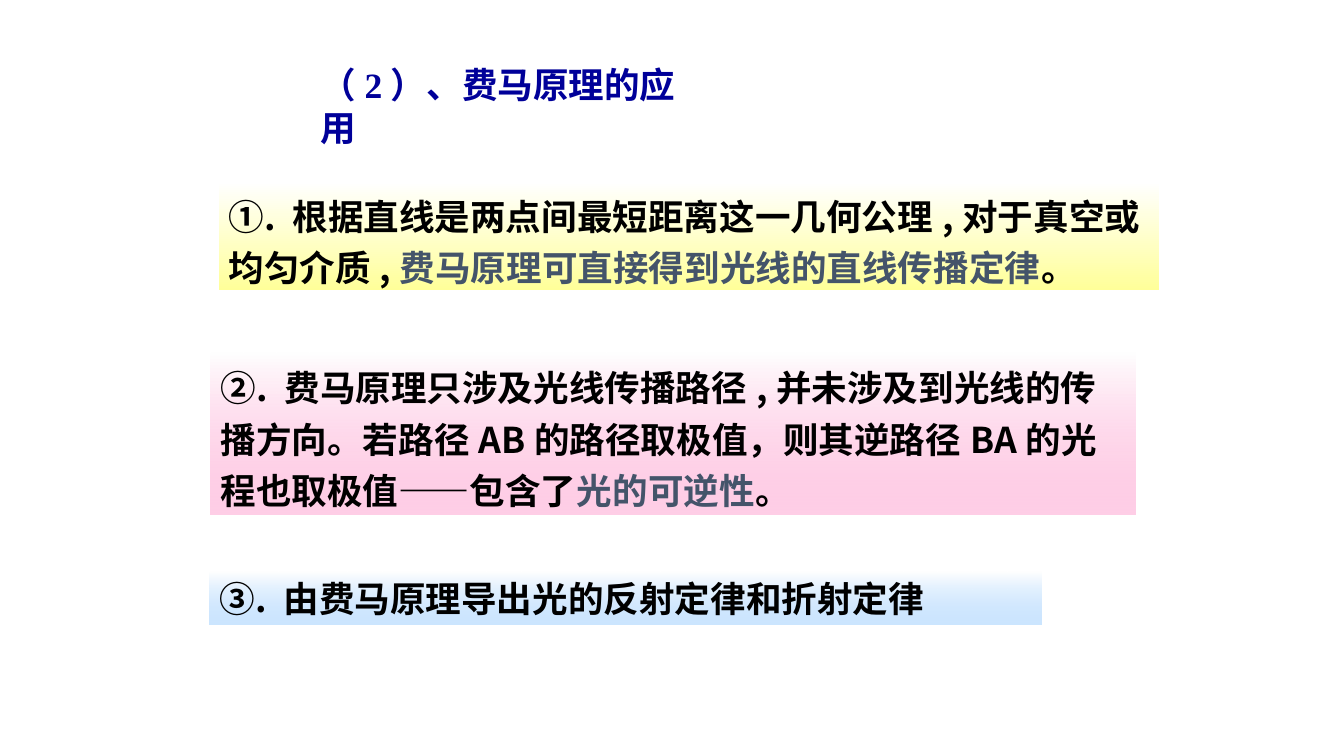
from lxml import etree
from pptx import Presentation
from pptx.dml.color import RGBColor
from pptx.enum import shapes, text
from pptx.oxml import ns
from pptx.util import Inches, Pt

COLORS = {"title": "000099", "body": "000000", "key": "44546A", "white": "FFFFFF",
          "yellow": "FFFF99", "pink": "FF99CC", "blue": "99CCFF"}
CJK_FONT = "Noto Sans CJK SC"


def write_text(frame, runs, latin_font, line_spacing=None):
    """Fill the frame with one paragraph of (wording, colour name) runs."""
    frame_format = {"word_wrap": True, "auto_size": text.MSO_AUTO_SIZE.SHAPE_TO_FIT_TEXT,
                    "vertical_anchor": text.MSO_ANCHOR.TOP}
    for key, value in frame_format.items():
        setattr(frame, key, value)
    paragraph = frame.paragraphs[0]
    paragraph.alignment = text.PP_ALIGN.LEFT
    paragraph.line_spacing = line_spacing
    for wording, color in runs:
        run = paragraph.add_run()
        run.text = wording
        for key, value in {"size": Pt(25.4), "bold": True, "name": latin_font}.items():
            setattr(run.font, key, value)
        run.font.color.rgb = RGBColor.from_string(COLORS[color])
        east_asian = etree.Element(ns.qn("a:ea"), typeface=CJK_FONT)
        run.font._element.find(ns.qn("a:latin")).addnext(east_asian)


prs = Presentation()
prs.slide_width, prs.slide_height = Inches(13.33), Inches(7.5)
slide = prs.slides.add_slide(prs.slide_layouts[6])

title = slide.shapes.add_textbox(Inches(3.08), Inches(0.58), Inches(3.96), Inches(0.53))
write_text(title.text_frame, [("（2）、费马原理的应用", "title")], "Times New Roman")

# Position, end colour of the gradient, its opacity in percent, line spacing, runs
applications = [
    ((2.17, 1.8, 9.33, 1.08), "yellow", 100, 1.2, [
        ("①. 根据直线是两点间最短距离这一几何公理,对于真空或均匀介质,", "body"),
        ("费马原理可直接得到光线的直线传播定律", "key"),
        ("。", "body")]),
    ((2.09, 3.5, 9.17, 1.6), "pink", 47, 1.2, [
        ("②. 费马原理只涉及光线传播路径,并未涉及到光线的传播方向。"
         "若路径AB的路径取极值，则其逆路径BA的光程也取极值——包含了", "body"),
        ("光的可逆性", "key"),
        ("。", "body")]),
    ((2.08, 5.67, 8.25, 0.53), "blue", 49, None, [
        ("③. 由费马原理导出光的反射定律和折射定律", "body")]),
]

for position, end_color, opacity, line_spacing, runs in applications:
    panel = slide.shapes.add_shape(shapes.MSO_SHAPE.RECTANGLE, *map(Inches, position))
    panel.shadow.inherit = False
    panel.line.fill.background()
    panel.fill.gradient()
    panel.fill.gradient_angle = 270
    for stop, color in zip(panel.fill.gradient_stops, ("white", end_color)):
        stop.color.rgb = RGBColor.from_string(COLORS[color])
    if opacity < 100:
        end_rgb = panel._element.spPr.findall(".//" + ns.qn("a:gs"))[-1][0]
        etree.SubElement(end_rgb, ns.qn("a:alpha"), val=str(opacity * 1000))
    write_text(panel.text_frame, runs, CJK_FONT, line_spacing)

prs.save("out.pptx")
